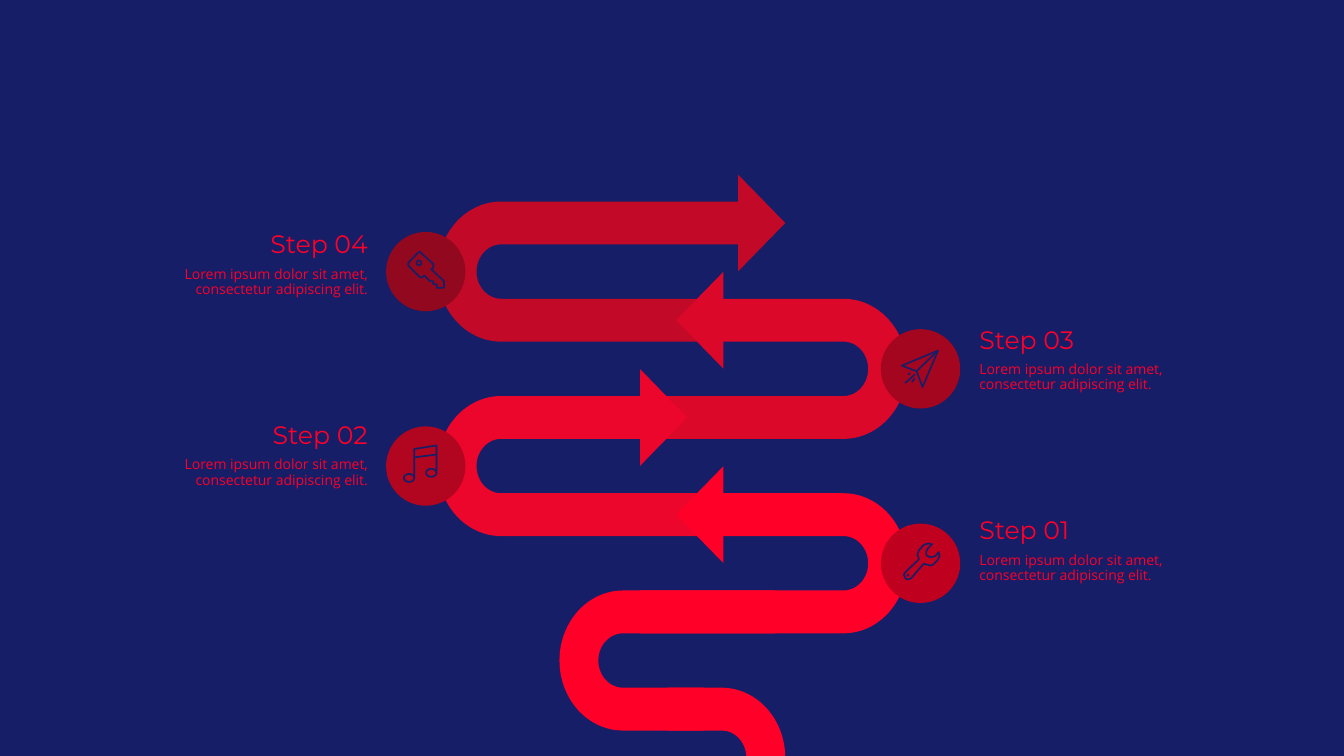
from dataclasses import dataclass
from math import cos, radians, sin

from pptx import Presentation
from pptx import util as u
from pptx.dml.color import RGBColor
from pptx.enum import shapes, text

Point = tuple[float, float]

NAVY = RGBColor(0x15, 0x1E, 0x67)
RED = RGBColor(0xFF, 0x00, 0x28)
SCARLET = RGBColor(0xEC, 0x06, 0x2B)
CRIMSON = RGBColor(0xDB, 0x08, 0x2A)
CARMINE = RGBColor(0xC2, 0x0A, 0x28)
BADGE_01 = RGBColor(0xBF, 0x00, 0x1E)
BADGE_02 = RGBColor(0xB1, 0x05, 0x20)
BADGE_03 = RGBColor(0xA4, 0x06, 0x1F)
BADGE_04 = RGBColor(0x92, 0x08, 0x1E)

# All lengths are centimetres
ROAD_TOP, LANE_PITCH, LANE = 5.08, 2.45, 1.08
OUTER = (1.6, (LANE_PITCH + LANE) / 2)
INNER = (0.62, (LANE_PITCH - LANE) / 2)
HEAD_LENGTH, HEAD_HALF = 1.19, 1.22
BADGE_SIZE = 2.0
LABEL_TOP, LABEL_PITCH = 5.64, 2.4
LABEL_SIZE = (6.93, 2.08)
LEFT, RIGHT = -1, 1
BADGE_X = {LEFT: 10.73, RIGHT: 23.2}
LABEL_X = {LEFT: 2.59, RIGHT: 24.43}
LABEL_ALIGN = {LEFT: text.PP_ALIGN.RIGHT, RIGHT: text.PP_ALIGN.LEFT}
BODY = "Lorem ipsum dolor sit amet, consectetur adipiscing elit."


def arc(center: Point, radii: Point, start: int, end: int) -> list[Point]:
    """Points of an elliptical arc; angles run clockwise from the right."""
    angles = [radians(start + (end - start) * i / 48) for i in range(49)]
    return [(center[0] + radii[0] * cos(a), center[1] + radii[1] * sin(a)) for a in angles]


@dataclass
class Stroke:
    points: list[Point]
    closed: bool = False


def ring(x: float, y: float, rx: float, ry: float) -> Stroke:
    return Stroke(arc((x, y), (rx, ry), 0, 360), True)


@dataclass
class Bend:
    """A U-turn of the road joining two lanes."""
    lane: int
    side: int
    center_x: float
    upper_end: float
    lower_end: float


@dataclass
class Step:
    title: str
    bend: Bend
    tip_x: float
    color: RGBColor
    badge: RGBColor
    icon: list[Stroke]


# Icon points are tenths of a millimetre from the badge centre
KEY = [
    Stroke([(-15, -50), (19, -19), (19, -10), (14, -6), (46, 24), (46, 41), (28, 41),
            (28, 32), (19, 32), (19, 24), (10, 24), (-3, 10), (-10, 15), (-15, 14),
            (-44, -15), (-44, -22), (-19, -48)], True),
    ring(-17, -22, 6, 6),
]
PLANE = [
    Stroke([(44, -46), (-47, -8), (-10, 6), (5, 46)], True),
    Stroke([(-10, 6), (44, -46)]),
    Stroke([(-14, 14), (-39, 36)]),
    Stroke([(-14, 24), (-22, 33)]),
    Stroke([(-27, 10), (-30, 15)]),
]
MUSIC = [
    Stroke([(-29, 30), (-29, -43), (27, -52), (27, 17)]),
    Stroke([(-29, -22), (27, -29)]),
    ring(-42, 30, 13, 10),
    ring(14, 17, 13, 10),
]
WRENCH = [
    Stroke([(46, -28), (37, -18), (25, -15), (15, -20), (14, -29), (18, -37), (29, -48),
            (19, -50), (8, -46), (-4, -33), (-8, -22), (-4, -10), (-39, 23), (-42, 29),
            (-38, 38), (-32, 41), (-24, 38), (8, 1), (25, 6), (32, 3), (43, -8),
            (48, -19)], True),
    ring(-32, 30, 1, 1),
]

STEPS = [
    Step("Step 04", Bend(0, LEFT, 12.63, 18.95, 18.24), 19.79, CARMINE, BADGE_04, KEY),
    Step("Step 03", Bend(1, RIGHT, 21.26, 17.88, 16.13), 17.04, CRIMSON, BADGE_03, PLANE),
    Step("Step 02", Bend(2, LEFT, 12.63, 16.48, 18.24), 17.32, SCARLET, BADGE_02, MUSIC),
    Step("Step 01", Bend(3, RIGHT, 21.26, 17.88, 16.13), 17.04, RED, BADGE_01, WRENCH),
]
ROAD_START = Bend(4, LEFT, 15.7, 19.53, 17.73)


def lane_top(lane: int) -> float:
    return ROAD_TOP + LANE_PITCH * lane


def bend_middle(lane: int) -> float:
    return lane_top(lane) + OUTER[1]


def draw_strokes(slide, strokes: list[Stroke]):
    builder = None
    for stroke in strokes:
        first, *rest = [(u.Cm(x), u.Cm(y)) for x, y in stroke.points]
        if builder is None:
            builder = slide.shapes.build_freeform(*first)
        else:
            builder.move_to(*first)
        builder.add_line_segments(rest, close=stroke.closed)
    drawn = builder.convert_to_shape()
    drawn.shadow.inherit = False
    return drawn


def paint(shape, color: RGBColor) -> None:
    shape.shadow.inherit = False
    shape.fill.solid()
    shape.fill.fore_color.rgb = color
    shape.line.fill.background()


def draw_area(slide, points: list[Point], color: RGBColor) -> None:
    paint(draw_strokes(slide, [Stroke(points, True)]), color)


def draw_bend(slide, bend: Bend, color: RGBColor) -> None:
    top, bottom = lane_top(bend.lane), lane_top(bend.lane + 1) + LANE
    center = (bend.center_x, bend_middle(bend.lane))
    turn = 180 * bend.side
    outline = [(bend.upper_end, top), *arc(center, OUTER, -90, -90 + turn),
               (bend.lower_end, bottom), (bend.lower_end, bottom - LANE),
               *arc(center, INNER, -90 + turn, -90), (bend.upper_end, top + LANE)]
    draw_area(slide, outline, color)


def draw_head(slide, step: Step) -> None:
    tip_y = lane_top(step.bend.lane) + LANE / 2
    base_x = step.tip_x + step.bend.side * HEAD_LENGTH
    draw_area(slide, [(step.tip_x, tip_y), (base_x, tip_y + HEAD_HALF),
                      (base_x, tip_y - HEAD_HALF)], step.color)


def draw_foot(slide) -> None:
    """Quarter turn where the road enters from the bottom edge."""
    start_x, top, center = 16.84, lane_top(5), (18.19, bend_middle(5))
    draw_area(slide, [(start_x, top), *arc(center, OUTER, -90, 0),
                      *arc(center, INNER, 0, -90), (start_x, top + LANE)], RED)


def draw_badge(slide, step: Step) -> None:
    left = BADGE_X[step.bend.side] - BADGE_SIZE / 2
    top = bend_middle(step.bend.lane) - BADGE_SIZE / 2
    paint(slide.shapes.add_shape(shapes.MSO_SHAPE.OVAL, u.Cm(left), u.Cm(top),
                                 u.Cm(BADGE_SIZE), u.Cm(BADGE_SIZE)), step.badge)


def draw_label(slide, step: Step) -> None:
    side, top = step.bend.side, LABEL_TOP + LABEL_PITCH * step.bend.lane
    frame = slide.shapes.add_textbox(
        *map(u.Cm, (LABEL_X[side], top, *LABEL_SIZE))).text_frame
    frame.word_wrap = True
    frame.auto_size = text.MSO_AUTO_SIZE.SHAPE_TO_FIT_TEXT
    heading, body = frame.paragraphs[0], frame.add_paragraph()
    body.space_before, body.line_spacing = u.Pt(6), 0.9
    parts = [
        (heading, step.title, {"name": "Montserrat", "size": u.Pt(18)}),
        (body, BODY, {"name": "Open Sans", "size": u.Pt(10)}),
    ]
    for paragraph, wording, font_format in parts:
        paragraph.alignment = LABEL_ALIGN[side]
        run = paragraph.add_run()
        run.text = wording
        for key, value in font_format.items():
            setattr(run.font, key, value)
        run.font.color.rgb = RED


def draw_icon(slide, step: Step) -> None:
    x, y = BADGE_X[step.bend.side], bend_middle(step.bend.lane)
    icon = draw_strokes(slide, [
        Stroke([(x + dx / 100, y + dy / 100) for dx, dy in stroke.points], stroke.closed)
        for stroke in step.icon])
    icon.fill.background()
    icon.line.color.rgb = NAVY
    icon.line.width = u.Pt(1.2)


def main() -> None:
    deck = Presentation()
    deck.slide_width, deck.slide_height = u.Cm(33.87), u.Cm(19.05)
    slide = deck.slides.add_slide(deck.slide_layouts[6])
    slide.background.fill.solid()
    slide.background.fill.fore_color.rgb = NAVY
    for step in STEPS:
        draw_bend(slide, step.bend, step.color)
        draw_head(slide, step)
    draw_bend(slide, ROAD_START, RED)
    draw_foot(slide)
    for draw_part in (draw_badge, draw_label, draw_icon):
        for step in STEPS:
            draw_part(slide, step)
    deck.save("out.pptx")


if __name__ == "__main__":
    main()
